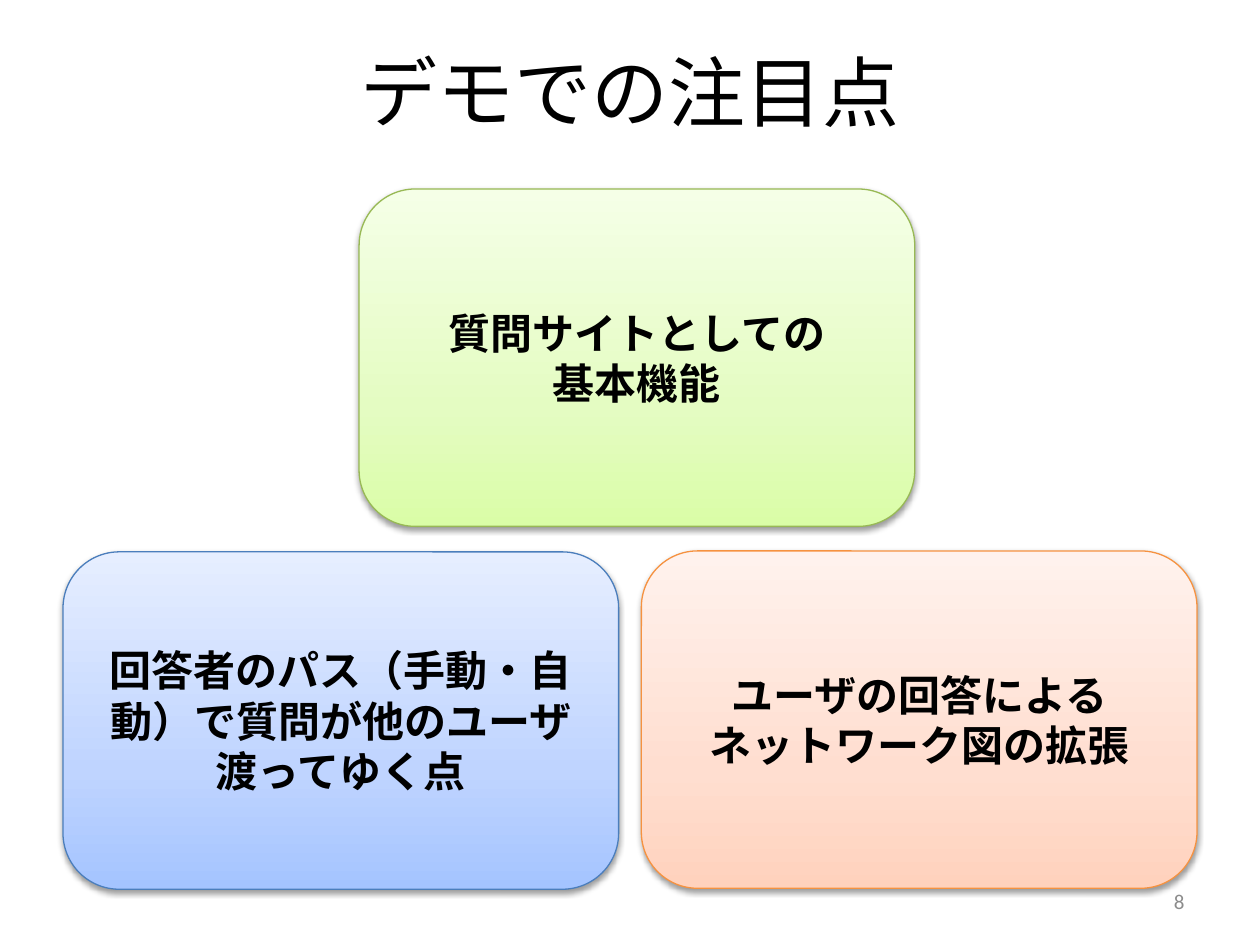
from lxml import etree
from pptx import Presentation
from pptx import util as u
from pptx.dml.color import RGBColor
from pptx.enum import shapes, text
from pptx.oxml.ns import qn

FONT = "Calibri"
W, H = u.Inches(10), u.Inches(7.5)
CARD_W, CARD_H = 0.441, 0.357
COLORS = {
    "text": "000000",
    "number": "8C8C8C",
    "blue": ("A4C4FF", "BFD4FF", "E6EEFF", "4B7EBC"),
    "orange": ("FFD2BD", "FFDED0", "FFF2ED", "F69240"),
    "green": ("DAFDA7", "E4FCC2", "F5FFE7", "98B955"),
}
CARDS = [
    (0.05, 0.584, "blue", "回答者のパス（手動・自動）で質問が他のユーザ渡ってゆく点"),
    (0.509, 0.583, "orange", "ユーザの回答による\nネットワーク図の拡張"),
    (0.285, 0.2, "green", "質問サイトとしての\v基本機能"),
]


def box(x, y, w, h):
    """Turn shares of the slide into left, top, width and height."""
    return int(W * x), int(H * y), int(W * w), int(H * h)


def add_color(parent, color, alpha=None):
    """Append a colour element, with optional opacity in percent."""
    clr = etree.SubElement(parent, qn("a:srgbClr"), val=color)
    if alpha is not None:
        etree.SubElement(clr, qn("a:alpha"), val=str(alpha * 1000))


def write(shape, words, size, color, align, bold=False):
    """Set and format the text of a shape, centred vertically."""
    tf = shape.text_frame
    tf.text = words
    tf.word_wrap = True
    tf.vertical_anchor = text.MSO_ANCHOR.MIDDLE
    for p in tf.paragraphs:
        p.alignment = align
        for r in p.runs:
            r.font.name, r.font.size, r.font.bold = FONT, u.Pt(size), bold
            r.font.color.rgb = RGBColor.from_string(color)


def set_gradient(sp, stops):
    """Fill a shape with a three-stop gradient rising from its bottom."""
    sp.fill.gradient()
    sp.fill.gradient_angle = 90
    stop_list = sp._element.spPr.find(".//" + qn("a:gsLst"))
    for old in list(stop_list):
        stop_list.remove(old)
    for share, color in zip((0, 35, 100), stops):
        add_color(etree.SubElement(stop_list, qn("a:gs"), pos=str(share * 1000)), color)


def set_shadow(sp):
    """Give a shape a soft shadow falling straight down."""
    sp.shadow.inherit = False
    effects = sp._element.spPr.find(qn("a:effectLst"))
    shadow = etree.SubElement(
        effects, qn("a:outerShdw"), blurRad=str(u.Pt(3.1)), dist=str(u.Pt(1.6)),
        dir="5400000", rotWithShape="0")
    add_color(shadow, COLORS["text"], 38)


def add_card(s, area, palette, words):
    """Draw one rounded card with its message."""
    *stops, edge = COLORS[palette]
    sp = s.shapes.add_shape(shapes.MSO_SHAPE.ROUNDED_RECTANGLE, *area)
    set_gradient(sp, stops)
    sp.line.color.rgb = RGBColor.from_string(edge)
    sp.line.width = u.Pt(0.75)
    set_shadow(sp)
    write(sp, words, 24, COLORS["text"], text.PP_ALIGN.CENTER, True)


def add_title(s, area, words):
    """Place and format the title placeholder."""
    title = s.shapes.title
    title.left, title.top, title.width, title.height = area
    write(title, words, 44, COLORS["text"], text.PP_ALIGN.CENTER)


def add_number(s, area, words):
    """Place the slide number."""
    write(s.shapes.add_textbox(*area), words, 12, COLORS["number"], text.PP_ALIGN.RIGHT)


def main():
    """Build and save the slide."""
    prs = Presentation()
    prs.slide_width, prs.slide_height = W, H
    s = prs.slides.add_slide(prs.slide_layouts[5])
    add_title(s, box(0.05, 0.04, 0.9, 0.113), "デモでの注目点")
    for x, y, palette, words in CARDS:
        add_card(s, box(x, y, CARD_W, CARD_H), palette, words)
    add_number(s, box(0.717, 0.927, 0.233, 0.053), "8")
    prs.save("out.pptx")


if __name__ == "__main__":
    main()
